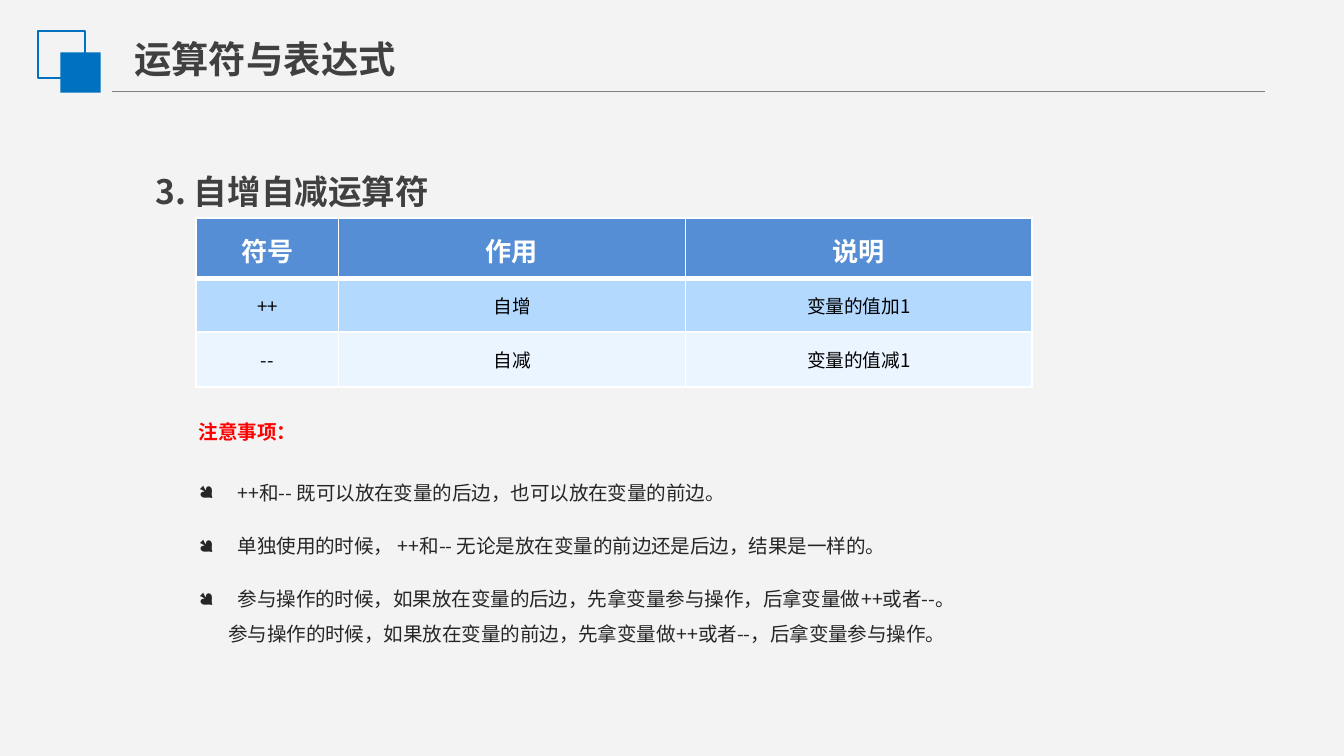
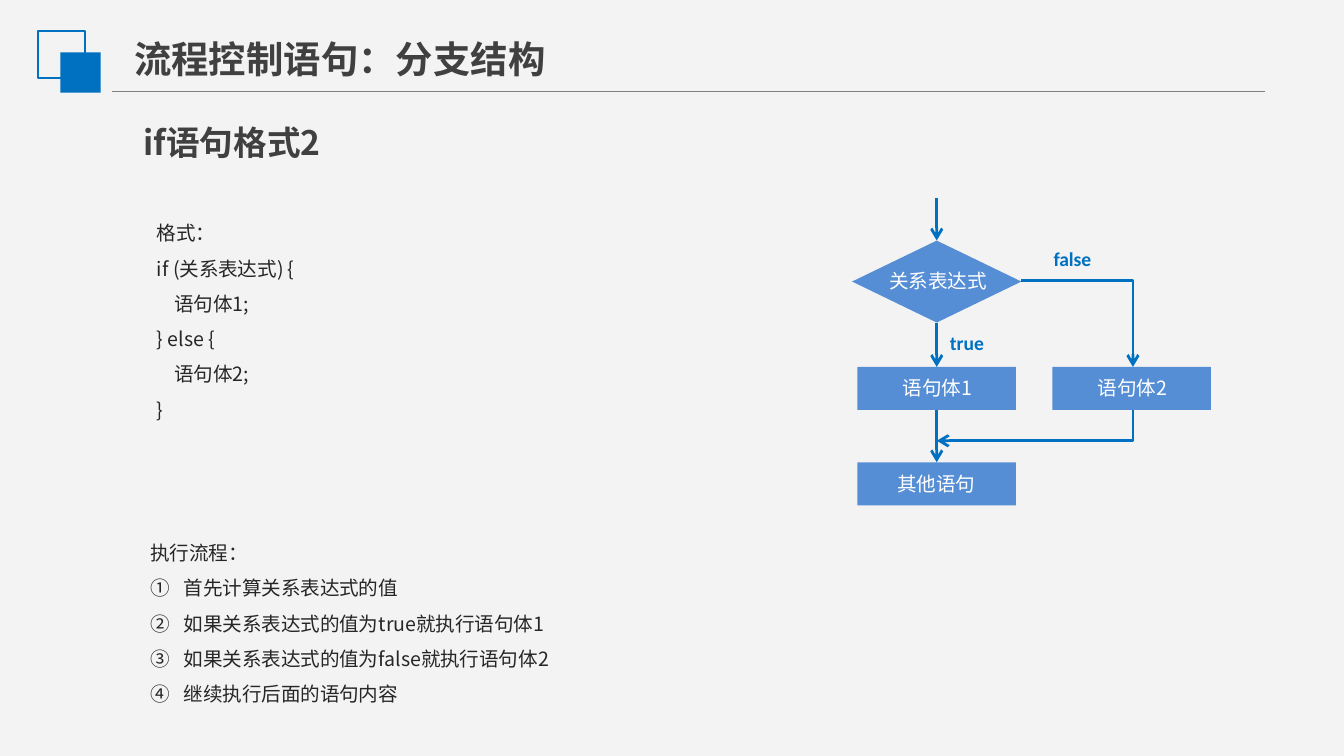
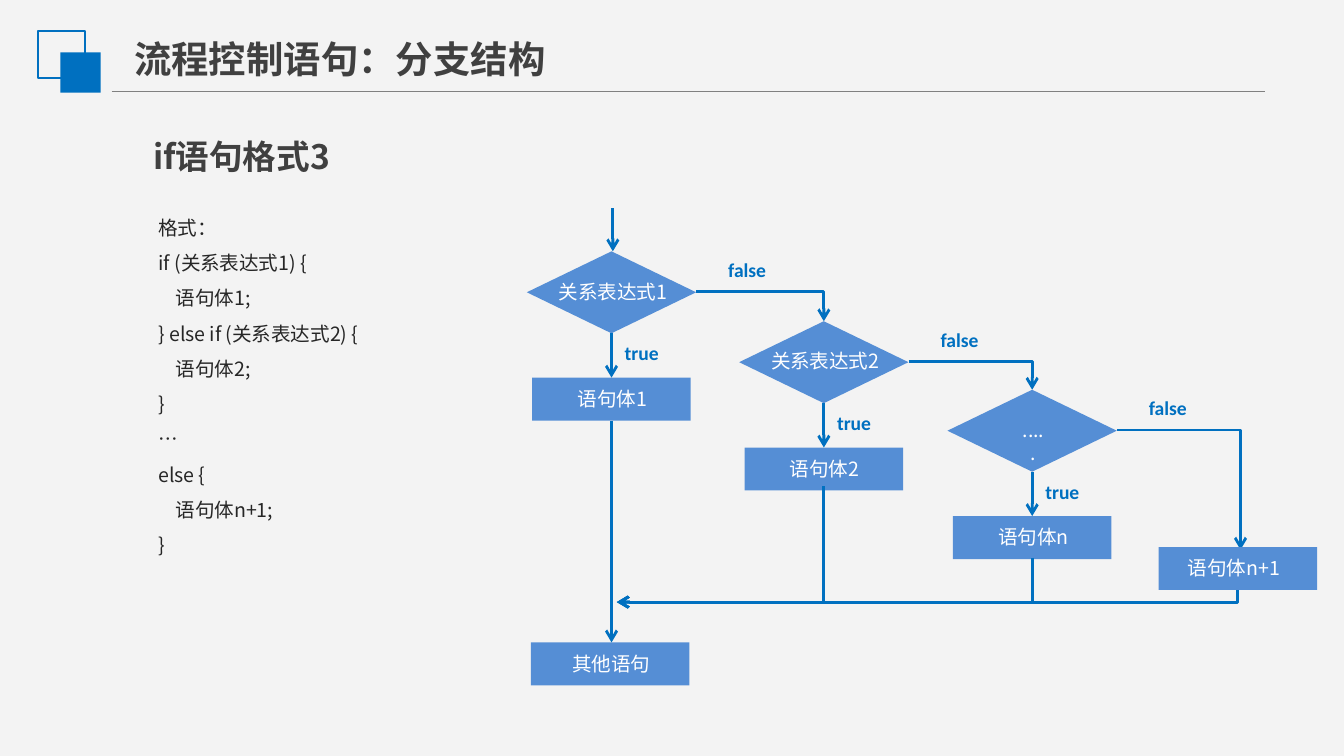
from lxml import etree
from pptx import Presentation
from pptx.dml.color import RGBColor
from pptx.enum.shapes import MSO_CONNECTOR, MSO_SHAPE
from pptx.enum.text import MSO_ANCHOR, MSO_AUTO_SIZE, PP_ALIGN
from pptx.oxml.ns import qn
from pptx.util import Inches, Pt

COLORS = {
    "background": "F3F3F3", "accent": "0070C0", "node": "558ED5",
    "rule": "808080", "heading": "404040", "body": "262626",
    "warning": "FF0000", "white": "FFFFFF", "black": "000000",
    "row_dark": "B3D9FF", "row_light": "EBF5FF",
}
FONT = "Noto Sans CJK SC"
LABEL_FONT = "Calibri"
BODY_SIZE = 10.5
NODE_W, NODE_H = 1.18, 0.32
DIAMOND_W, DIAMOND_H = 1.26, 0.61


def rgb(name):
    return RGBColor.from_string(COLORS[name])


class Deck:
    def __init__(self):
        self.prs = Presentation()
        self.prs.slide_width = Inches(10)
        self.prs.slide_height = Inches(10 * 9 / 16)
        self.s = None

    def slide(self, title, width):
        self.s = self.prs.slides.add_slide(self.prs.slide_layouts[6])
        fill = self.s.background.fill
        fill.solid()
        fill.fore_color.rgb = rgb("background")
        self.line(0.83, 0.68, 9.41, 0.68, "rule", 0.75, arrow=False)
        self.shape(MSO_SHAPE.RECTANGLE, 0.28, 0.23, 0.35, 0.35, None, "accent")
        self.shape(MSO_SHAPE.RECTANGLE, 0.45, 0.39, 0.3, 0.3, "accent")
        self.text(0.9, 0.22, width, 0.77, [title], 20, "heading", bold=True, wrap=False)

    def shape(self, kind, x, y, w, h, fill, line=None):
        sp = self.s.shapes.add_shape(kind, Inches(x), Inches(y), Inches(w), Inches(h))
        sp.shadow.inherit = False
        if fill:
            sp.fill.solid()
            sp.fill.fore_color.rgb = rgb(fill)
        else:
            sp.fill.background()
        if line:
            sp.line.color.rgb = rgb(line)
            sp.line.width = Pt(1)
        else:
            sp.line.fill.background()

    def run(self, p, text, size, color, bold=False, font=FONT):
        r = p.add_run()
        r.text = text
        r.font.size = Pt(size)
        r.font.bold = bold
        r.font.name = font
        r.font.color.rgb = rgb(color)
        ea = etree.SubElement(r.font._element, qn("a:ea"))
        ea.set("typeface", font)

    def text(self, x, y, w, h, lines, size=BODY_SIZE, color="body", bold=False,
             font=FONT, spacing=None, align=None, wrap=True):
        sp = self.s.shapes.add_textbox(Inches(x), Inches(y), Inches(w), Inches(h))
        tf = sp.text_frame
        tf.word_wrap = wrap
        tf.auto_size = MSO_AUTO_SIZE.SHAPE_TO_FIT_TEXT
        for i, line in enumerate(lines):
            p = tf.add_paragraph() if i else tf.paragraphs[0]
            if spacing:
                p.line_spacing = spacing
            if align:
                p.alignment = align
            self.run(p, line, size, color, bold, font)
        return tf.paragraphs

    def indent(self, p, left, hanging=0):
        pPr = p._p.get_or_add_pPr()
        pPr.set("marL", str(Inches(left)))
        pPr.set("indent", str(-Inches(hanging)))
        return pPr

    def bullets(self, x, y, w, h, lines):
        ps = self.text(x, y, w, h, lines, spacing=1.5)
        pPr = self.indent(ps[0], 0.29, 0.29)
        etree.SubElement(pPr, qn("a:buFont")).set("typeface", "Wingdings")
        etree.SubElement(pPr, qn("a:buChar")).set("char", "●")
        for p in ps[1:]:
            self.indent(p, 0.22)

    def steps(self, x, y, w, h, heading, lines):
        for p in self.text(x, y, w, h, [heading, *lines], spacing=1.5)[1:]:
            pPr = self.indent(p, 0.25, 0.25)
            etree.SubElement(pPr, qn("a:buAutoNum")).set("type", "circleNumDbPlain")

    def code(self, x, y, w, h, lines):
        for p in self.text(x, y, w, h, lines, spacing=1.5):
            if p.text.startswith("语句体"):
                self.indent(p, 0.13)

    def finish_line(self, cxn, color, width, arrow):
        cxn.line.color.rgb = rgb(color)
        cxn.line.width = Pt(width)
        if arrow:
            etree.SubElement(cxn.line._get_or_add_ln(), qn("a:tailEnd")).set("type", "arrow")
        etree.SubElement(cxn.element.spPr, qn("a:effectLst"))

    def line(self, x1, y1, x2, y2, color="accent", width=1.5, arrow=True):
        cxn = self.s.shapes.add_connector(
            MSO_CONNECTOR.STRAIGHT, Inches(x1), Inches(y1), Inches(x2), Inches(y2))
        self.finish_line(cxn, color, width, arrow)

    def elbow(self, x1, y1, x2, y2, down_first=False):
        w, h = abs(x2 - x1), abs(y2 - y1)
        left, top = min(x1, x2), min(y1, y2)
        if down_first:
            left, top = left + (w - h) / 2, top + (h - w) / 2
            w, h = h, w
        cxn = self.s.shapes.add_connector(
            MSO_CONNECTOR.ELBOW, Inches(left), Inches(top), Inches(left + w), Inches(top + h))
        spPr = cxn.element.spPr
        spPr.find(qn("a:prstGeom")).set("prst", "bentConnector2")
        if down_first:
            spPr.find(qn("a:xfrm")).set("rot", str(90 * 60000))
        self.finish_line(cxn, "accent", 1.5, True)

    def node(self, x, y, label, pad=0.24, width=0.87):
        self.shape(MSO_SHAPE.RECTANGLE, x, y, NODE_W, NODE_H, "node")
        self.text(x + pad, y + 0.02, width, 0.28, [label], color="white")

    def flag(self, x, y, w, label):
        self.text(x, y, w, 0.28, [label], color="accent", bold=True, font=LABEL_FONT)

    def branch(self, x, y, condition, width, statement, end):
        mid, right = x + DIAMOND_W / 2, x + DIAMOND_W
        self.shape(MSO_SHAPE.FLOWCHART_DECISION, x, y, DIAMOND_W, DIAMOND_H, "node")
        self.text(mid + 0.01 - width / 2, y + 0.16, width, 0.28, [condition],
                  color="white", align=PP_ALIGN.CENTER)
        self.node(x + 0.04, y + 0.94, statement)
        self.line(mid, y + DIAMOND_H, mid, y + 0.94)
        self.flag(mid, y + 0.62, 0.66, "true")
        self.elbow(right, y + 0.3, *end)
        self.flag(right + 0.14, y, 0.98, "false")

    def table(self, x, y, widths, heights, rows):
        tbl = self.s.shapes.add_table(
            len(rows), len(widths), Inches(x), Inches(y),
            Inches(sum(widths)), Inches(sum(heights))).table
        for col, w in zip(tbl.columns, widths):
            col.width = Inches(w)
        for row, h in zip(tbl.rows, heights):
            row.height = Inches(h)
        fills = ["node", "row_dark", "row_light"]
        for i, row in enumerate(rows):
            for j, value in enumerate(row):
                cell = tbl.cell(i, j)
                cell.fill.solid()
                cell.fill.fore_color.rgb = rgb(fills[i])
                p = cell.text_frame.paragraphs[0]
                p.alignment = PP_ALIGN.CENTER
                if i == 0:
                    p.line_spacing = Pt(24)
                    self.run(p, value, 14, "white", True)
                else:
                    cell.vertical_anchor = MSO_ANCHOR.MIDDLE
                    self.run(p, value, 10, "black")
                self.borders(cell, 3 if i == 1 else 1, 3 if i == 0 else 1)

    def borders(self, cell, top, bottom):
        tcPr = cell._tc.get_or_add_tcPr()
        edges = [("a:lnL", 1), ("a:lnR", 1), ("a:lnT", top), ("a:lnB", bottom)]
        for i, (tag, width) in enumerate(edges):
            ln = etree.Element(qn(tag), w=str(Pt(width)))
            fill = etree.SubElement(ln, qn("a:solidFill"))
            etree.SubElement(fill, qn("a:srgbClr")).set("val", COLORS["white"])
            tcPr.insert(i, ln)


deck = Deck()

deck.slide("运算符与表达式", 2.17)
deck.text(1.06, 0.92, 3.13, 0.71, ["3. 自增自减运算符"], 18, "heading", bold=True, spacing=2.0)
deck.table(1.46, 1.62, [1.06, 2.58, 2.58], [0.45, 0.4, 0.41], [
    ["符号", "作用", "说明"],
    ["++", "自增", "变量的值加1"],
    ["--", "自减", "变量的值减1"],
])
notes = [
    ["++和-- 既可以放在变量的后边，也可以放在变量的前边。"],
    ["单独使用的时候， ++和-- 无论是放在变量的前边还是后边，结果是一样的。"],
    ["参与操作的时候，如果放在变量的后边，先拿变量参与操作，后拿变量做++或者--。",
     "参与操作的时候，如果放在变量的前边，先拿变量做++或者--，后拿变量参与操作。"],
]
for i, lines in enumerate(notes):
    deck.bullets(1.38, 3.44 + 0.395 * i, 6.19, 0.05 + 0.29 * len(lines), lines)
deck.text(1.38, 2.99, 8.11, 0.34, ["注意事项："], color="warning", bold=True, spacing=1.5)

deck.slide("流程控制语句：分支结构", 3.29)
deck.code(1.07, 1.51, 4.16, 1.69, [
    "格式：", "if (关系表达式) {", "语句体1;", "} else {", "语句体2;", "}",
])
deck.line(6.97, 1.47, 6.97, 1.79)
deck.branch(6.34, 1.79, "关系表达式", 0.97, "语句体1", (8.43, 2.73))
deck.node(6.38, 3.44, "其他语句", 0.2)
deck.line(6.97, 3.05, 6.97, 3.44)
deck.elbow(8.43, 3.05, 6.97, 3.28, down_first=True)
deck.steps(1.02, 3.89, 5, 1.43, "执行流程：", [
    "首先计算关系表达式的值",
    "如果关系表达式的值为true就执行语句体1",
    "如果关系表达式的值为false就执行语句体2",
    "继续执行后面的语句内容",
])
deck.node(7.83, 2.73, "语句体2")
deck.text(0.97, 0.86, 3.15, 0.4, ["if语句格式2"], 18, "heading", bold=True)

deck.slide("流程控制语句：分支结构", 3.29)
deck.line(4.56, 1.55, 4.56, 1.87)
deck.branch(3.92, 1.87, "关系表达式1", 1.02, "语句体1", (6.13, 2.39))
deck.branch(5.5, 2.39, "关系表达式2", 1.02, "语句体2", (7.68, 2.9))
deck.branch(7.05, 2.9, ".....", 0.38, "语句体n", (9.23, 4.09))
deck.node(8.62, 4.07, "语句体n+1", 0.12, 0.99)
deck.node(3.95, 4.78, "其他语句", 0.21)
deck.line(4.55, 3.13, 4.55, 4.78)
for x, y in [(6.13, 3.62), (7.68, 4.15), (9.21, 4.39)]:
    deck.elbow(x, y, 4.59, 4.48, down_first=True)
deck.code(1.08, 1.47, 1.92, 2.75, [
    "格式：", "if (关系表达式1) {", "语句体1;", "} else if (关系表达式2) {",
    "语句体2;", "}", "…", "else {", "语句体n+1;", "}",
])
deck.text(1.04, 0.96, 3.15, 0.4, ["if语句格式3"], 18, "heading", bold=True)

deck.prs.save("out.pptx")
